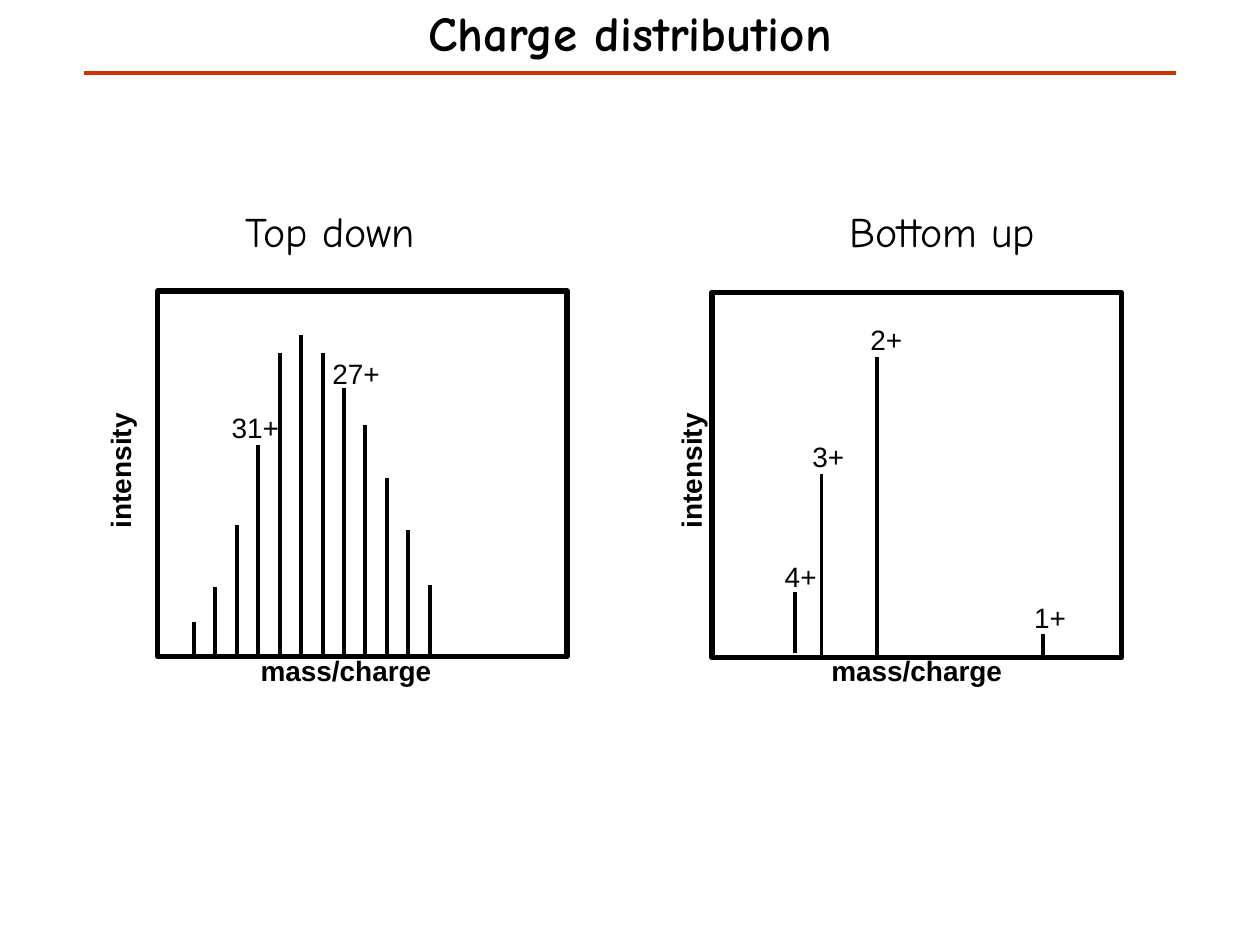
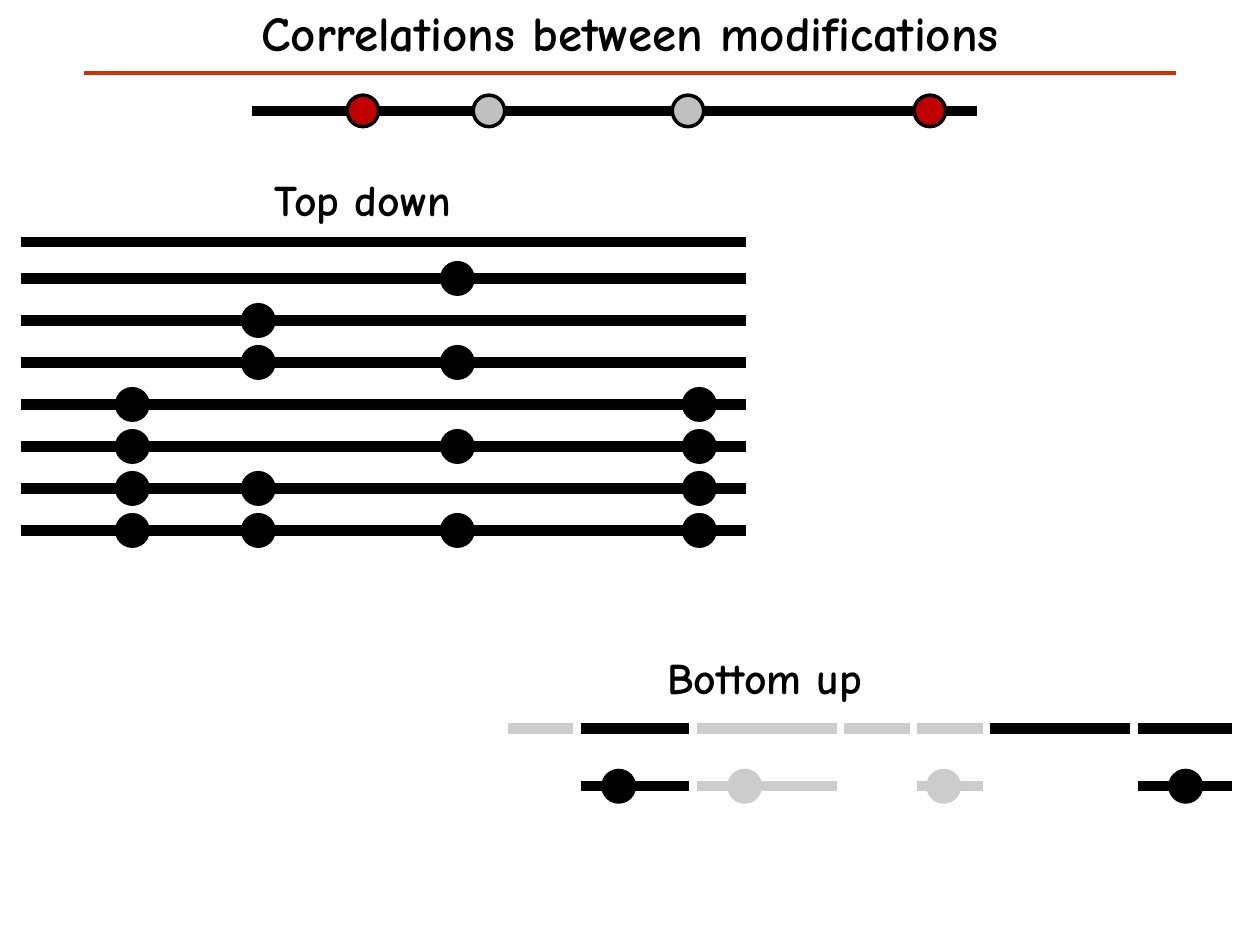
"""Builds two slides comparing top-down and bottom-up analysis."""
from dataclasses import dataclass
from itertools import product

from lxml.etree import SubElement
from pptx import Presentation
from pptx.dml.color import RGBColor
from pptx.enum.shapes import MSO_CONNECTOR, MSO_SHAPE
from pptx.enum.text import MSO_ANCHOR, MSO_AUTO_SIZE, PP_ALIGN
from pptx.oxml.ns import qn
from pptx.shapes.autoshape import Shape
from pptx.slide import Slide
from pptx.util import Inches, Pt


@dataclass(frozen=True)
class Theme:
    black: RGBColor = RGBColor(0, 0, 0)
    white: RGBColor = RGBColor(255, 255, 255)
    rule: RGBColor = RGBColor(0xCC, 0x33, 0x00)
    red: RGBColor = RGBColor(0xC0, 0, 0)
    silver: RGBColor = RGBColor(0xC0, 0xC0, 0xC0)
    faded: RGBColor = RGBColor(0xCC, 0xCC, 0xCC)
    heading_font: str = "Comic Neue"
    label_font: str = "Arial"
    title_size: float = 28
    heading_size: float = 25
    panel_size: float = 24
    label_size: float = 16
    rule_width: float = 2.5
    frame_width: float = 3
    peak_width: float = 2.25
    strand_width: float = 6
    site_outline: float = 2


THEME = Theme()


@dataclass(frozen=True)
class Peak:
    x: float
    top: float
    bottom: float


@dataclass(frozen=True)
class ChargeLabel:
    text: str
    left: float
    top: float


@dataclass(frozen=True)
class Spectrum:
    heading: str
    heading_center: float
    frame_left: float
    frame_top: float
    axis_left: float
    peaks: list[Peak]
    charges: list[ChargeLabel]


@dataclass(frozen=True)
class Fragment:
    start: float
    end: float
    color: RGBColor
    site: int | None = None


PEAK_TOPS = [4.94, 4.66, 4.17, 3.53, 2.8, 2.66, 2.8, 3.08, 3.37, 3.79, 4.21, 4.64]
SPECTRA = [
    Spectrum("Top down", 2.62, 1.25, 2.31, 0.39,
             [Peak(1.54 + 0.17 * index, top, 5.19) for index, top in enumerate(PEAK_TOPS)],
             [ChargeLabel("27+", 2.54, 2.78), ChargeLabel("31+", 1.74, 3.21)]),
    Spectrum("Bottom up", 7.48, 5.65, 2.32, 4.92,
             [Peak(6.31, 4.7, 5.18), Peak(6.52, 3.76, 5.22),
              Peak(6.96, 2.83, 5.22), Peak(8.28, 5.03, 5.22)],
             [ChargeLabel("4+", 6.13, 4.39), ChargeLabel("3+", 6.35, 3.44),
              ChargeLabel("2+", 6.81, 2.51), ChargeLabel("1+", 8.11, 4.72)]),
]

STRAND_LENGTH = 5.75
SITE_OFFSETS = [0.88, 1.88, 3.46, 5.38]
SITE_COLORS = [THEME.red, THEME.silver, THEME.silver, THEME.red]
SITE_DIAMETER = 0.25
FRAGMENT_LEFT = 4.03
FRAGMENTS = [
    Fragment(4.03, 4.55, THEME.faded),
    Fragment(4.61, 5.47, THEME.black, 0),
    Fragment(5.53, 6.64, THEME.faded, 1),
    Fragment(6.7, 7.22, THEME.faded),
    Fragment(7.28, 7.8, THEME.faded, 2),
    Fragment(7.86, 8.97, THEME.black),
    Fragment(9.03, 9.78, THEME.black, 3),
]


def add_line(slide: Slide, start: tuple[float, float], end: tuple[float, float],
             color: RGBColor, width: float) -> None:
    """Draw a straight line without a shadow."""
    line = slide.shapes.add_connector(
        MSO_CONNECTOR.STRAIGHT, *(Inches(value) for value in (*start, *end)))
    line.line.color.rgb = color
    line.line.width = Pt(width)
    SubElement(line._element.spPr, qn("a:effectLst"))


def add_outlined(slide: Slide, kind: MSO_SHAPE, box: tuple[float, float, float, float],
                 fill: RGBColor, outline: RGBColor, width: float) -> None:
    """Draw a filled and outlined preset shape."""
    shape = slide.shapes.add_shape(kind, *(Inches(value) for value in box))
    shape.shadow.inherit = False
    shape.fill.solid()
    shape.fill.fore_color.rgb = fill
    shape.line.color.rgb = outline
    shape.line.width = Pt(width)


def add_text(slide: Slide, text: str, box: tuple[float, float, float, float],
             font: str, size: float, bold: bool) -> Shape:
    """Add one line of text in a text box."""
    shape = slide.shapes.add_textbox(*(Inches(value) for value in box))
    shape.text_frame.text = text
    run_font = shape.text_frame.paragraphs[0].runs[0].font
    run_font.name = font
    run_font.size = Pt(size)
    run_font.bold = bold
    run_font.color.rgb = THEME.black
    return shape


def add_heading(slide: Slide, text: str, center: float, top: float, width: float,
                size: float, bold: bool = True) -> None:
    """Add a heading centred on a horizontal position."""
    shape = add_text(slide, text, (center - width / 2, top, width, 0.5),
                     THEME.heading_font, size, bold)
    shape.text_frame.word_wrap = True
    shape.text_frame.vertical_anchor = MSO_ANCHOR.MIDDLE
    shape.text_frame.paragraphs[0].alignment = PP_ALIGN.CENTER


def add_label(slide: Slide, text: str, box: tuple[float, float, float, float],
              bold: bool = False, rotation: float = 0) -> None:
    """Add an unwrapped label of a spectrum."""
    shape = add_text(slide, text, box, THEME.label_font, THEME.label_size, bold)
    shape.text_frame.word_wrap = False
    shape.text_frame.auto_size = MSO_AUTO_SIZE.SHAPE_TO_FIT_TEXT
    shape.rotation = rotation


def add_titled_slide(presentation: Presentation, title: str) -> Slide:
    """Add a blank slide with the shared title and rule."""
    slide = presentation.slides.add_slide(presentation.slide_layouts[6])
    add_heading(slide, title, 5, 0, 9, THEME.title_size)
    add_line(slide, (0.67, 0.58), (9.33, 0.58), THEME.rule, THEME.rule_width)
    return slide


def draw_spectrum(slide: Slide, spectrum: Spectrum) -> None:
    """Draw a framed spectrum with its axes, peaks and charges."""
    add_heading(slide, spectrum.heading, spectrum.heading_center, 1.58, 3,
                THEME.panel_size, bold=False)
    add_label(slide, "mass/charge", (spectrum.axis_left + 1.58, 5.14, 1.57, 0.37), bold=True)
    add_label(slide, "intensity", (spectrum.axis_left, 3.54, 1.13, 0.37),
              bold=True, rotation=270)
    add_outlined(slide, MSO_SHAPE.RECTANGLE,
                 (spectrum.frame_left, spectrum.frame_top, 3.25, 2.9),
                 THEME.white, THEME.black, THEME.frame_width)
    for peak in spectrum.peaks:
        add_line(slide, (peak.x, peak.top), (peak.x, peak.bottom),
                 THEME.black, THEME.peak_width)
    for charge in spectrum.charges:
        add_label(slide, charge.text, (charge.left, charge.top, 0.6, 0.62))


def draw_site(slide: Slide, center: float, y: float, fill: RGBColor,
              outline: RGBColor) -> None:
    """Draw a modification site on a strand."""
    radius = SITE_DIAMETER / 2
    add_outlined(slide, MSO_SHAPE.OVAL,
                 (center - radius, y - radius, SITE_DIAMETER, SITE_DIAMETER),
                 fill, outline, THEME.site_outline)


def draw_strand(slide: Slide, left: float, y: float,
                sites: dict[int, RGBColor]) -> None:
    """Draw a whole strand with coloured sites."""
    add_line(slide, (left, y), (left + STRAND_LENGTH, y), THEME.black, THEME.strand_width)
    for site, color in sites.items():
        draw_site(slide, left + SITE_OFFSETS[site], y, color, THEME.black)


def draw_fragments(slide: Slide) -> None:
    """Draw unmodified fragments above their modified forms."""
    for fragment in FRAGMENTS:
        rows = [5.78] if fragment.site is None else [5.78, 6.24]
        for y in rows:
            add_line(slide, (fragment.start, y), (fragment.end, y),
                     fragment.color, THEME.strand_width)
        if fragment.site is not None:
            draw_site(slide, FRAGMENT_LEFT + SITE_OFFSETS[fragment.site], 6.24,
                      fragment.color, fragment.color)


def build_distribution(presentation: Presentation) -> None:
    """Build the charge distribution slide."""
    slide = add_titled_slide(presentation, "Charge distribution")
    for spectrum in SPECTRA:
        draw_spectrum(slide, spectrum)


def build_correlations(presentation: Presentation) -> None:
    """Build the slide of every combination of modifications."""
    slide = add_titled_slide(presentation, "Correlations between modifications")
    draw_strand(slide, 2, 0.88, dict(enumerate(SITE_COLORS)))
    add_heading(slide, "Top down", 2.88, 1.33, 2.92, THEME.heading_size)
    for row, (outer, second, third) in enumerate(product([False, True], repeat=3)):
        y = 2.21 + (row - 1) / 3 if row else 1.92
        present = [outer, second, third, outer]
        draw_strand(slide, 0.17, y,
                    {site: THEME.black for site, shown in enumerate(present) if shown})
    add_heading(slide, "Bottom up", 6.07, 5.12, 2.42, THEME.heading_size)
    draw_fragments(slide)


def main() -> None:
    """Build and save the presentation."""
    presentation = Presentation()
    presentation.slide_width = Inches(10)
    presentation.slide_height = Inches(7.5)
    build_distribution(presentation)
    build_correlations(presentation)
    presentation.save("out.pptx")


if __name__ == "__main__":
    main()
